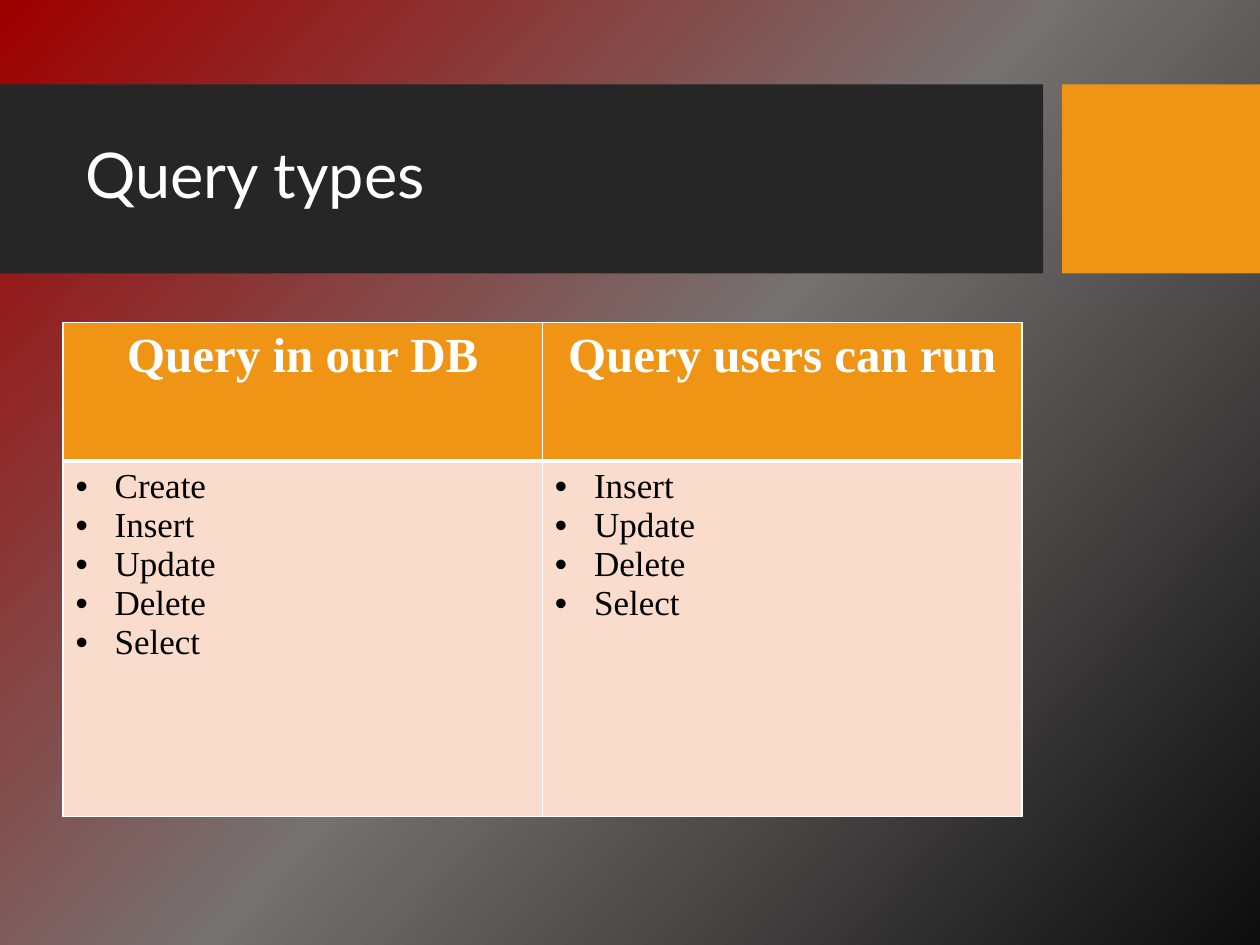
from copy import deepcopy

from lxml.etree import SubElement
from pptx import Presentation
from pptx.dml.color import RGBColor
from pptx.enum.shapes import MSO_SHAPE
from pptx.enum.text import MSO_ANCHOR, PP_ALIGN
from pptx.oxml import parse_xml
from pptx.oxml.ns import nsdecls, qn
from pptx.util import Inches, Pt

WHITE, ORANGE = "FFFFFF", "F09415"
BAND_TOP, BAND_HEIGHT = 0.67, 1.5


def color(hex_value):
    return RGBColor.from_string(hex_value)


def format_text(paragraph, text, **font_values):
    """Add one run to the paragraph and set its font from the given values."""
    run = paragraph.add_run()
    run.text = text
    run.font.color.rgb = color(font_values.pop("hex_color"))
    for name, value in font_values.items():
        setattr(run.font, name, value)


presentation = Presentation()
presentation.slide_width, presentation.slide_height = Inches(10), Inches(7.5)
slide = presentation.slides.add_slide(presentation.slide_layouts[5])

# Background: three-stop diagonal gradient
background = slide.background.fill
background.gradient()
background.gradient_angle = 360 - 42
stop_list = slide.element.find(".//" + qn("a:gsLst"))
stop_list.append(deepcopy(stop_list[0]))
for stop, position, hex_color in zip(
    background.gradient_stops, (0, 0.5, 1), ("9E0000", "767171", "0D0D0D")
):
    stop.position = position
    stop.color.rgb = color(hex_color)

# Title band and its accent block
for left, width, hex_color in ((0, 8.28, "262626"), (8.43, 1.57, ORANGE)):
    band = slide.shapes.add_shape(
        MSO_SHAPE.RECTANGLE,
        Inches(left), Inches(BAND_TOP), Inches(width), Inches(BAND_HEIGHT),
    )
    band.shadow.inherit = False
    band.fill.solid()
    band.fill.fore_color.rgb = color(hex_color)
    band.line.fill.background()

# Title, brought in front of the band
title = slide.shapes.title
slide.shapes.element.append(title.element)
title.left, title.top = Inches(0.58), Inches(0.82)
title.width, title.height = Inches(7.54), Inches(1.18)
title.text_frame.vertical_anchor = MSO_ANCHOR.MIDDLE
title_paragraph = title.text_frame.paragraphs[0]
title_paragraph.alignment = PP_ALIGN.LEFT
title_paragraph.line_spacing = 0.9
format_text(title_paragraph, "Query types", hex_color=WHITE, name="Lato", size=Pt(36))

# Table: a heading and a bulleted list in each column
columns = {
    "Query in our DB": ["Create", "Insert", "Update", "Delete", "Select"],
    "Query users can run": ["Insert", "Update", "Delete", "Select"],
}
row_heights = (1.1, 2.82)
row_formats = (
    {"hex_color": WHITE, "name": "Times New Roman", "size": Pt(28), "bold": True},
    {"hex_color": "000000", "name": "Times New Roman", "size": Pt(20), "bold": False},
)
row_fills = (ORANGE, "F9DCCC")
row_borders = (
    {"lnL": 1, "lnR": 1, "lnT": 1, "lnB": 3},
    {"lnL": 1, "lnR": 1, "lnT": 3, "lnB": 1},
)
table = slide.shapes.add_table(
    len(row_heights), len(columns),
    Inches(0.5), Inches(2.56), Inches(7.61), Inches(sum(row_heights)),
).table
for row, height in zip(table.rows, row_heights):
    row.height = Inches(height)

for column_index, (heading, queries) in enumerate(columns.items()):
    for row_index, lines in enumerate(([heading], queries)):
        cell = table.cell(row_index, column_index)
        cell.fill.solid()
        cell.fill.fore_color.rgb = color(row_fills[row_index])
        properties = cell._tc.get_or_add_tcPr()
        for position, (side, points) in enumerate(row_borders[row_index].items()):
            properties.insert(position, parse_xml(
                f'<a:{side} {nsdecls("a")} w="{Pt(points)}"><a:solidFill>'
                f'<a:srgbClr val="{WHITE}"/></a:solidFill></a:{side}>'
            ))
        for line_index, line in enumerate(lines):
            frame = cell.text_frame
            paragraph = frame.add_paragraph() if line_index else frame.paragraphs[0]
            format_text(paragraph, line, **row_formats[row_index])
            if row_index == 0:
                paragraph.alignment = PP_ALIGN.CENTER
                continue
            paragraph_properties = paragraph._p.get_or_add_pPr()
            paragraph_properties.set("marL", str(Inches(0.31)))
            paragraph_properties.set("indent", str(Inches(-0.31)))
            SubElement(paragraph_properties, qn("a:buFont"), typeface="Arial")
            SubElement(paragraph_properties, qn("a:buChar"), char="•")

presentation.save("out.pptx")
